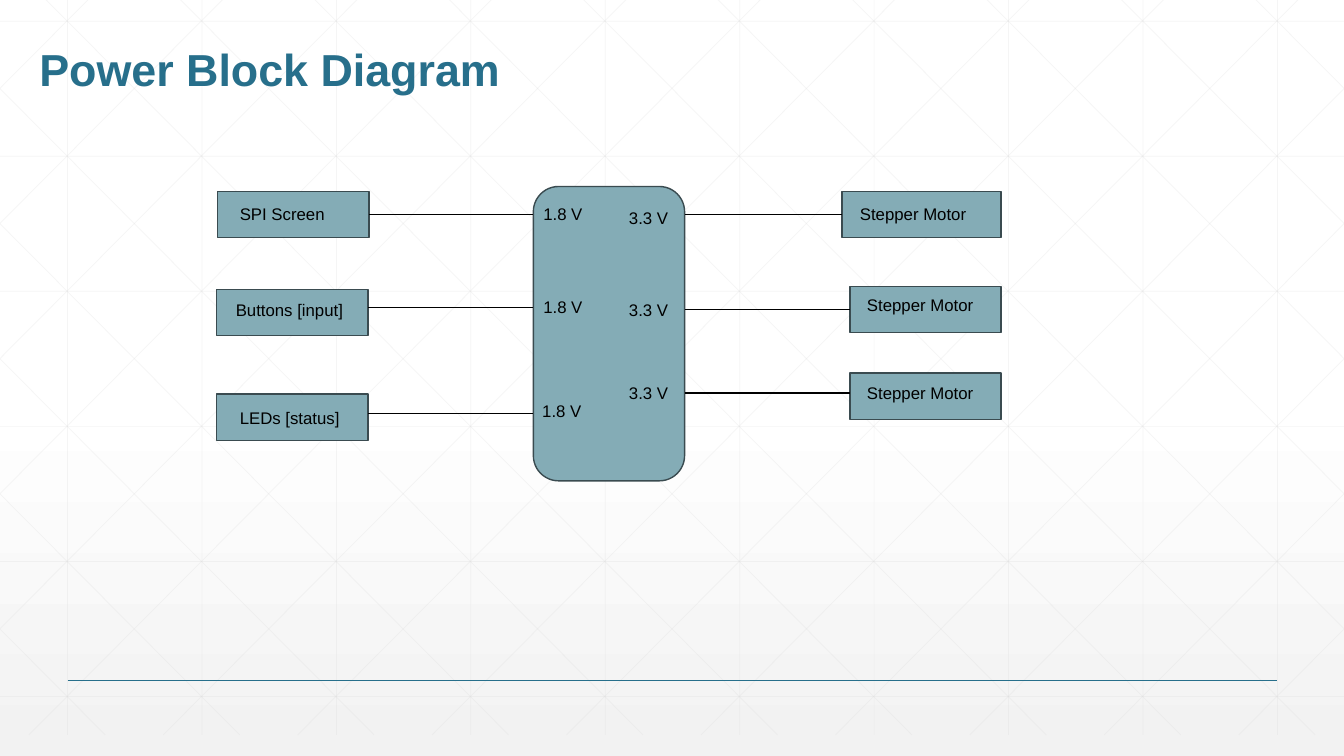
from lxml import etree
from pptx import Presentation
from pptx.dml.color import RGBColor
from pptx.enum.shapes import MSO_CONNECTOR, MSO_SHAPE
from pptx.enum.text import MSO_ANCHOR, MSO_AUTO_SIZE, PP_ALIGN
from pptx.oxml.ns import qn
from pptx.util import Inches, Pt

STRAIGHT = MSO_CONNECTOR.STRAIGHT
RECT = MSO_SHAPE.RECTANGLE
HUB = MSO_SHAPE.FLOWCHART_ALTERNATE_PROCESS
BOTTOM = MSO_ANCHOR.BOTTOM
LEFT = PP_ALIGN.LEFT
NO_FIT, GROW = MSO_AUTO_SIZE.NONE, MSO_AUTO_SIZE.SHAPE_TO_FIT_TEXT

WHITE = RGBColor(0xFF, 0xFF, 0xFF)
PALE = RGBColor(0xF2, 0xF2, 0xF2)
GRID = RGBColor(0xD9, 0xD9, 0xD9)
TEAL = RGBColor(0x27, 0x6F, 0x8B)
BLOCK = RGBColor(0x84, 0xAC, 0xB6)
EDGE = RGBColor(0x3A, 0x4B, 0x50)
BLACK = RGBColor(0, 0, 0)

WIDTH, HEIGHT = 13.33, 7.5
TITLE_FONT = {"name": "Arial", "size": Pt(32), "bold": True}
LABEL_FONT = {"name": "Arial", "size": Pt(12), "bold": False}

HUB_BOX = (5.29, 1.85, 1.5, 2.92)
# Each row: device, device box, label corner and width, wire height, voltage, voltage corner
LOADS = [
    ("SPI Screen", (2.16, 1.9, 1.5, 0.46), (2.28, 1.97, 1.15), 2.13, "1.8 V", (5.29, 1.97)),
    ("Buttons [input]", (2.15, 2.87, 1.5, 0.46), (2.24, 2.92, 1.5), 3.05, "1.8 V", (5.29, 2.89)),
    ("LEDs [status]", (2.15, 3.91, 1.5, 0.46), (2.28, 4, 1.34), 4.1, "1.8 V", (5.28, 3.93)),
    ("Stepper Motor", (8.35, 1.9, 1.58, 0.46), (8.43, 1.97, 1.35), 2.13, "3.3 V", (6.14, 2.01)),
    ("Stepper Motor", (8.43, 2.84, 1.5, 0.46), (8.5, 2.87, 1.35), 3.07, "3.3 V", (6.14, 2.92)),
    ("Stepper Motor", (8.43, 3.7, 1.5, 0.46), (8.5, 3.75, 1.35), 3.9, "3.3 V", (6.14, 3.75)),
]


def write(tf, text, font, color):
    """Put one formatted run of text in a frame."""
    p = tf.paragraphs[0]
    p.alignment = LEFT
    r = p.add_run()
    r.text = text
    for name, value in font.items():
        setattr(r.font, name, value)
    r.font.color.rgb = color
    return p


def add_line(shapes, start, end, color, width=1):
    """Draw a straight line without a shadow."""
    line = shapes.add_connector(STRAIGHT, *map(Inches, start + end))
    line.line.color.rgb = color
    line.line.width = Pt(width)
    etree.SubElement(line.element.spPr, qn("a:effectLst"))
    return line


def add_block(s, kind, box):
    """Draw a filled block."""
    sp = s.shapes.add_shape(kind, *map(Inches, box))
    sp.shadow.inherit = False
    sp.fill.solid()
    sp.fill.fore_color.rgb = BLOCK
    sp.line.color.rgb = EDGE
    sp.line.width = Pt(1)
    return sp


def add_label(s, text, left, top, width=1.04):
    """Place a one-line label."""
    tf = s.shapes.add_textbox(*map(Inches, (left, top, width, 0.3))).text_frame
    tf.word_wrap = True
    tf.auto_size = GROW
    write(tf, text, LABEL_FONT, BLACK)


def add_background(s):
    """Fade the slide to pale grey."""
    fill = s.background.fill
    fill.gradient()
    fill.gradient_angle = 270
    for stop, color, position in zip(fill.gradient_stops, (WHITE, PALE), (0.53, 1)):
        stop.color.rgb = color
        stop.position = position


def add_grid(s, top=-0.21, bottom=7.29, step=4 / 3, run=7.46):
    """Draw the faint lattice behind everything, diagonals cut at the slide edges."""
    lines = []
    for i in range(10):
        x = 0.67 + i * step
        lines.append(((x, top), (x, bottom)))
    for i in range(6):
        y = 0.21 + i * 1.34
        lines.append(((0, y), (WIDTH, y)))
    slope = (bottom - top) / run
    for i in range(-5, 10):
        x = 0.25 + i * step
        x1, x2 = max(x, 0), min(x + run, WIDTH)
        y1, y2 = (top + (edge - x) * slope for edge in (x1, x2))
        lines.append(((x1, y1), (x2, y2)))
        lines.append(((WIDTH - x1, y1), (WIDTH - x2, y2)))
    group = s.shapes.add_group_shape()
    for start, end in lines:
        line = add_line(group.shapes, start, end, GRID, 0.5)
        color = line.element.spPr.find(".//" + qn("a:srgbClr"))
        etree.SubElement(color, qn("a:alpha"), val="25000")
    s.shapes.title.element.addprevious(group.element)


def add_title(s, text, box):
    """Fill the title placeholder."""
    title = s.shapes.title
    title.left, title.top, title.width, title.height = map(Inches, box)
    tf = title.text_frame
    for name, value in {"vertical_anchor": BOTTOM, "auto_size": NO_FIT, "word_wrap": True}.items():
        setattr(tf, name, value)
    write(tf, text, TITLE_FONT, TEAL).line_spacing = 0.9


def add_diagram(s, hub_box, loads):
    """Draw the supply hub with its devices, wires and voltages."""
    add_block(s, HUB, hub_box)
    hub_left, hub_width = hub_box[0], hub_box[2]
    for device, box, label, wire_y, voltage, corner in loads:
        block = add_block(s, RECT, box)
        left, top, width, height = box
        on_left = left < hub_left
        device_x = left + width if on_left else left
        hub_x = hub_left if on_left else hub_left + hub_width
        wire = add_line(s.shapes, (device_x, wire_y), (hub_x, wire_y), BLACK)
        if abs(wire_y - top - height / 2) < 0.01:
            wire.begin_connect(block, 3 if on_left else 1)
        add_label(s, device, *label)
        add_label(s, voltage, *corner)


def main():
    """Build the slide and save it."""
    prs = Presentation()
    prs.slide_width, prs.slide_height = Inches(WIDTH), Inches(HEIGHT)
    s = prs.slides.add_slide(prs.slide_layouts[5])
    add_background(s)
    add_grid(s)
    add_line(s.shapes, (0.67, 6.75), (12.67, 6.75), TEAL)
    add_title(s, "Power Block Diagram", (0.29, 0, 12, 1))
    add_diagram(s, HUB_BOX, LOADS)
    prs.save("out.pptx")


if __name__ == "__main__":
    main()
